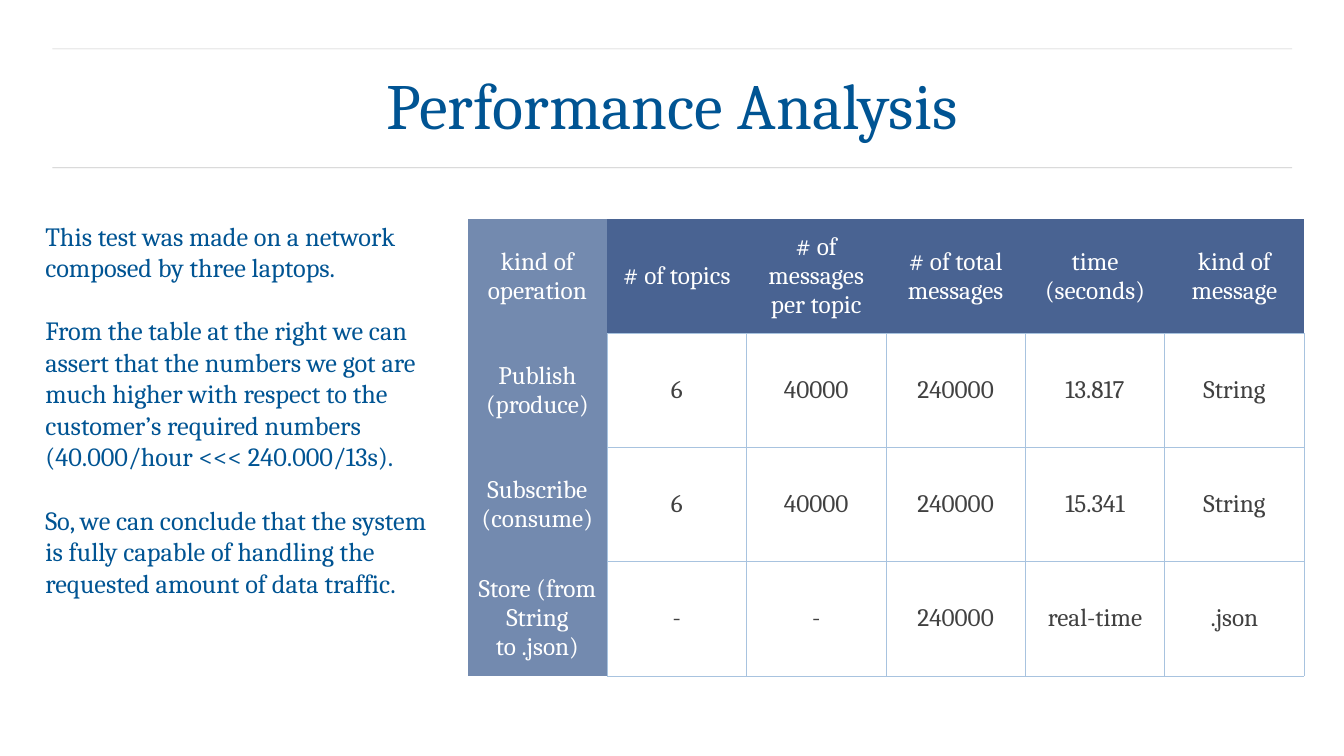
"""Build the Performance Analysis slide with its results table."""
from lxml.etree import SubElement
from pptx import Presentation
from pptx.dml.color import RGBColor
from pptx.enum.shapes import MSO_CONNECTOR
from pptx.enum.text import MSO_ANCHOR, PP_ALIGN
from pptx.oxml import parse_xml
from pptx.oxml.ns import nsdecls, qn
from pptx.util import Inches, Pt

NAVY = RGBColor(0x00, 0x54, 0x93)
HEADER = RGBColor(0x49, 0x63, 0x92)
SIDE = RGBColor(0x73, 0x8A, 0xAF)
GRID = RGBColor(0xA8, 0xC3, 0xDF)
RULE = RGBColor(0x44, 0x44, 0x44)
DARK = RGBColor(0x41, 0x41, 0x41)
WHITE = RGBColor(0xFF, 0xFF, 0xFF)
FONT = "Cambria"
INSET = Inches(0.06)
NO_STYLE = "{2D5ABB26-0587-4C30-8999-92F81FD0307C}"

PARAGRAPHS = [
    "This test was made on a network composed by three laptops.",
    "From the table at the right we can assert that the numbers we got are much higher "
    "with respect to the customer’s required numbers (40.000/hour <<< 240.000/13s).",
    "So, we can conclude that the system is fully capable of handling the requested "
    "amount of data traffic.",
]
ROWS = [
    ["kind of operation", "# of topics", "# of messages per topic",
     "# of total messages", "time (seconds)", "kind of message"],
    ["Publish (produce)", "6", "40000", "240000", "13.817", "String"],
    ["Subscribe (consume)", "6", "40000", "240000", "15.341", "String"],
    ["Store (from String to .json)", "-", "-", "240000", "real-time", ".json"],
]


def add_text(para, text, size, color):
    span = para.add_run()
    span.text = text
    span.font.name = FONT
    span.font.size = Pt(size)
    span.font.color.rgb = color


def add_box(page, left, top, width, height):
    frame = page.shapes.add_textbox(
        Inches(left), Inches(top), Inches(width), Inches(height)).text_frame
    frame.word_wrap = True
    frame.margin_left = frame.margin_right = INSET
    frame.margin_top = frame.margin_bottom = INSET
    return frame


deck = Presentation()
deck.slide_width, deck.slide_height = Inches(26.67), Inches(15)
page = deck.slides.add_slide(deck.slide_layouts[6])

for y in (3.33, 0.97):
    rule = page.shapes.add_connector(
        MSO_CONNECTOR.STRAIGHT, Inches(1.04), Inches(y), Inches(25.64), Inches(y))
    rule.line.width = Pt(1)
    rule.line.color.rgb = RULE
    properties = rule._element.spPr
    SubElement(next(properties.iter(qn("a:srgbClr"))), qn("a:alpha"), val="30000")
    SubElement(properties, qn("a:effectLst"))

title = add_box(page, 1.04, 1.25, 24.58, 1.82)
title.vertical_anchor = MSO_ANCHOR.MIDDLE
title.paragraphs[0].alignment = PP_ALIGN.CENTER
title.paragraphs[0].line_spacing = 0.9
add_text(title.paragraphs[0], "Performance Analysis", 92.1, NAVY)

body = add_box(page, 0.84, 4.3, 8.03, 9.66)
for index, text in enumerate(PARAGRAPHS):
    para = body.add_paragraph() if index else body.paragraphs[0]
    if index:
        para.space_before = Pt(45)
    add_text(para, text, 37.6, NAVY)

table = page.shapes.add_table(
    len(ROWS), len(ROWS[0]), Inches(9.28), Inches(4.35), Inches(16.6), Inches(9.06)).table
table.horz_banding = False
table._tbl.tblPr.find(qn("a:tableStyleId")).text = NO_STYLE
for row, texts in enumerate(ROWS):
    for column, text in enumerate(texts):
        cell = table.cell(row, column)
        cell.vertical_anchor = MSO_ANCHOR.MIDDLE
        cell.margin_left = cell.margin_right = INSET
        cell.margin_top = cell.margin_bottom = INSET
        para = cell.text_frame.paragraphs[0]
        para.alignment = PP_ALIGN.CENTER
        inside = row > 0 and column > 0
        add_text(para, text, 36, DARK if inside else WHITE)
        if inside:
            for side in ("lnL", "lnR", "lnT", "lnB"):
                cell._tc.get_or_add_tcPr().append(parse_xml(
                    f'<a:{side} {nsdecls("a")} w="12700"><a:solidFill>'
                    f'<a:srgbClr val="{GRID}"/></a:solidFill></a:{side}>'))
            cell.fill.background()
        else:
            cell.fill.solid()
            cell.fill.fore_color.rgb = SIDE if column == 0 else HEADER

deck.save("out.pptx")
